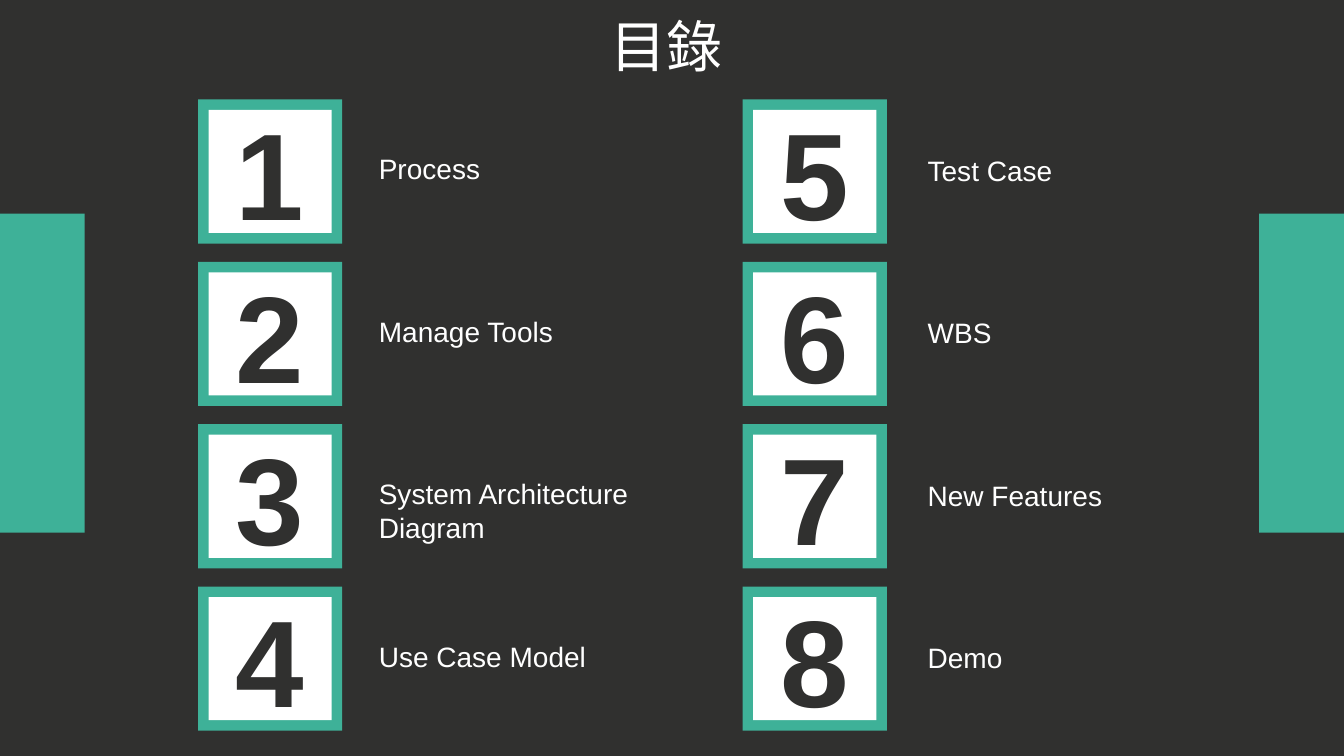
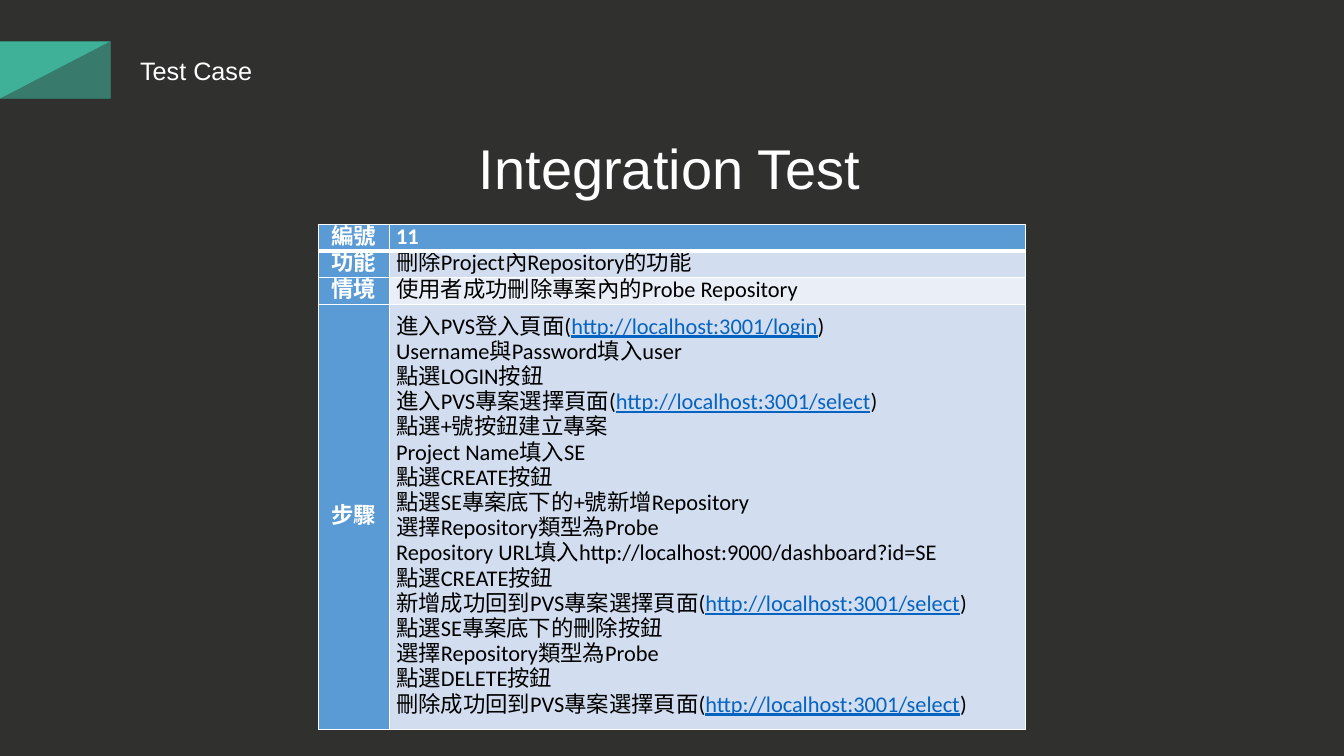
from dataclasses import dataclass

from pptx import Presentation
from pptx.dml.color import RGBColor
from pptx.enum.shapes import MSO_SHAPE
from pptx.enum.text import MSO_ANCHOR, PP_ALIGN
from pptx.oxml.ns import qn
from pptx.util import Pt
from lxml import etree

RECT, TRIANGLE = MSO_SHAPE.RECTANGLE, MSO_SHAPE.RIGHT_TRIANGLE
LEFT, CENTER, JUSTIFY = PP_ALIGN.LEFT, PP_ALIGN.CENTER, PP_ALIGN.JUSTIFY
MIDDLE = MSO_ANCHOR.MIDDLE
BLANK_LAYOUT = 6
SLIDE_W, SLIDE_H = 960, 540


@dataclass(frozen=True)
class Theme:
    dark: str = "30302F"
    accent: str = "3EB198"
    white: str = "FFFFFF"
    black: str = "000000"
    link: str = "0563C1"
    head_fill: str = "5B9BD5"
    band_dark: str = "D2DEEF"
    band_light: str = "EAEFF7"
    font: str = "Arial"
    table_font: str = "Calibri"
    number_size: int = 88
    title_size: int = 40
    label_size: int = 20
    section_size: int = 18
    table_size: int = 16
    table_leading: int = 18


THEME = Theme()


class Deck:
    def __init__(self, theme):
        self.theme = theme
        self.prs = Presentation()
        self.prs.slide_width, self.prs.slide_height = Pt(SLIDE_W), Pt(SLIDE_H)
        self.slide = None

    def new_slide(self):
        self.slide = self.prs.slides.add_slide(self.prs.slide_layouts[BLANK_LAYOUT])
        background = self.slide.background.fill
        background.solid()
        background.fore_color.rgb = RGBColor.from_string(self.theme.dark)

    def add_run(self, paragraph, text, size, color, bold=False, font=None):
        run = paragraph.add_run()
        run.text = text
        run.font.name = font or self.theme.font
        run.font.size = Pt(size)
        run.font.bold = bold
        run.font.color.rgb = RGBColor.from_string(color)
        return run

    def block(self, box, fill, kind=RECT, parent=None):
        """Add a flat, unlined shape to the slide or to a group."""
        shapes = (parent or self.slide).shapes
        shape = shapes.add_shape(kind, *map(Pt, box))
        shape.shadow.inherit = False
        shape.fill.solid()
        shape.fill.fore_color.rgb = RGBColor.from_string(fill)
        shape.line.fill.background()
        return shape

    def text(self, box, lines, size, wrap=False):
        frame = self.slide.shapes.add_textbox(*map(Pt, box)).text_frame
        frame.word_wrap = wrap
        for index, line in enumerate(lines):
            paragraph = frame.add_paragraph() if index else frame.paragraphs[0]
            paragraph.alignment = LEFT
            self.add_run(paragraph, line, size, self.theme.white)

    def number_tile(self, left, top, side, border, number):
        group = self.slide.shapes.add_group_shape()
        self.block((left, top, side, side), self.theme.accent, parent=group)
        inner = side - 2 * border
        face = self.block((left + border, top + border, inner, inner),
                          self.theme.white, parent=group)
        face.text_frame.vertical_anchor = MIDDLE
        paragraph = face.text_frame.paragraphs[0]
        paragraph.alignment = CENTER
        self.add_run(paragraph, str(number), self.theme.number_size,
                     self.theme.dark, bold=True)

    def section_mark(self, box, name, name_box):
        group = self.slide.shapes.add_group_shape()
        self.block(box, self.theme.accent, parent=group)
        shade = self.block(box, self.theme.dark, TRIANGLE, group)
        shade.element.spPr.xfrm.set("flipH", "1")
        color = shade.element.spPr.find(qn("a:solidFill")).find(qn("a:srgbClr"))
        etree.SubElement(color, qn("a:alpha")).set("val", "42000")
        self.text(name_box, [name], self.theme.section_size)

    def cell_borders(self, cell, widths):
        properties = cell._tc.get_or_add_tcPr()
        for side, width in widths.items():
            line = etree.SubElement(properties, qn(f"a:ln{side}"), w=str(Pt(width)))
            fill = etree.SubElement(line, qn("a:solidFill"))
            etree.SubElement(fill, qn("a:srgbClr"), val=self.theme.white)

    def fill_cell(self, cell, lines, fill, color, bold, align):
        cell.fill.solid()
        cell.fill.fore_color.rgb = RGBColor.from_string(fill)
        cell.vertical_anchor = MIDDLE
        cell.margin_left = cell.margin_right = Pt(5)
        cell.margin_top = cell.margin_bottom = 0
        for index, parts in enumerate(lines):
            frame = cell.text_frame
            paragraph = frame.add_paragraph() if index else frame.paragraphs[0]
            paragraph.alignment = align
            paragraph.line_spacing = Pt(self.theme.table_leading)
            for part in parts:
                is_url = part.startswith("http://")
                run = self.add_run(paragraph, part, self.theme.table_size,
                                   self.theme.link if is_url else color,
                                   bold, self.theme.table_font)
                run.font.underline = is_url

    def test_table(self, origin, col_widths, row_heights, rows):
        """Add a table with a header row, a header column and banded rows."""
        theme = self.theme
        table = self.slide.shapes.add_table(
            len(rows), 2, *map(Pt, (*origin, sum(col_widths), sum(row_heights)))).table
        table.first_row = table.horz_banding = False
        for column, width in zip(table.columns, col_widths):
            column.width = Pt(width)
        for index, (heading, lines) in enumerate(rows):
            table.rows[index].height = Pt(row_heights[index])
            is_header = index == 0
            band = theme.band_dark if index % 2 else theme.band_light
            borders = {"L": 1, "R": 1, "T": 3 if index == 1 else 1,
                       "B": 3 if is_header else 1}
            for column in range(2):
                self.cell_borders(table.cell(index, column), borders)
            self.fill_cell(table.cell(index, 0), [(heading,)], theme.head_fill,
                           theme.white, True, CENTER)
            self.fill_cell(table.cell(index, 1), lines,
                           theme.head_fill if is_header else band,
                           theme.white if is_header else theme.black,
                           is_header, JUSTIFY)


# Each topic: its lines and the width of its label
TOPICS = [
    (["Process"], 88), (["Manage Tools"], 140),
    (["System Architecture", "Diagram"], 199), (["Use Case Model"], 164),
    (["Test Case"], 104), (["WBS"], 60), (["New Features"], 140), (["Demo"], 68),
]
TOPICS_PER_COLUMN = 4
TILE_LEFTS, LABEL_LEFTS = (141.5, 530.5), (263.5, 655.5)
TILE_TOP, TILE_PITCH, TILE_SIDE, TILE_BORDER = 71, 116, 103, 7.5
LABEL_DROPS = (34, 35)

SELECT_URL = "http://localhost:3001/select"
STEPS = [
    ("進入PVS登入頁面(", "http://localhost:3001/login", ")"),
    ("Username與Password填入user",),
    ("點選LOGIN按鈕",),
    ("進入PVS專案選擇頁面(", SELECT_URL, ")"),
    ("點選+號按鈕建立專案",),
    ("Project Name填入SE",),
    ("點選CREATE按鈕",),
    ("點選SE專案底下的+號新增Repository",),
    ("選擇Repository類型為Probe",),
    ("Repository URL填入http://localhost:9000/dashboard?id=SE",),
    ("點選CREATE按鈕",),
    ("新增成功回到PVS專案選擇頁面(", SELECT_URL, ")"),
    ("點選SE專案底下的刪除按鈕",),
    ("選擇Repository類型為Probe",),
    ("點選DELETE按鈕",),
    ("刪除成功回到PVS專案選擇頁面(", SELECT_URL, ")"),
]
TEST_ROWS = [
    ("編號", [("11",)]),
    ("功能", [("刪除Project內Repository的功能",)]),
    ("情境", [("使用者成功刪除專案內的Probe Repository",)]),
    ("步驟", STEPS),
]


def contents_slide(deck):
    deck.new_slide()
    band_width = 60.5
    for left in (0, SLIDE_W - band_width):
        deck.block((left, 152.5, band_width, 228), THEME.accent)
    deck.text((429, 4.5, 102, 55.5), ["目錄"], THEME.title_size, wrap=True)
    for index, (lines, width) in enumerate(TOPICS):
        column, row = divmod(index, TOPICS_PER_COLUMN)
        top = TILE_TOP + row * TILE_PITCH
        deck.number_tile(TILE_LEFTS[column], top, TILE_SIDE, TILE_BORDER, index + 1)
        deck.text((LABEL_LEFTS[column], top + LABEL_DROPS[column],
                   width, 7.5 + 24 * len(lines)), lines, THEME.label_size)


def integration_test_slide(deck):
    deck.new_slide()
    deck.section_mark((0, 29.5, 79, 41), "Test Case", (93, 36, 95, 29))
    deck.text((335, 92, 290, 55.5), ["Integration Test"], THEME.title_size)
    deck.test_table((227.5, 160.5), (50.5, 454.5), (19, 19, 19, 303.5), TEST_ROWS)


def main():
    deck = Deck(THEME)
    contents_slide(deck)
    integration_test_slide(deck)
    deck.prs.save("out.pptx")


if __name__ == "__main__":
    main()
